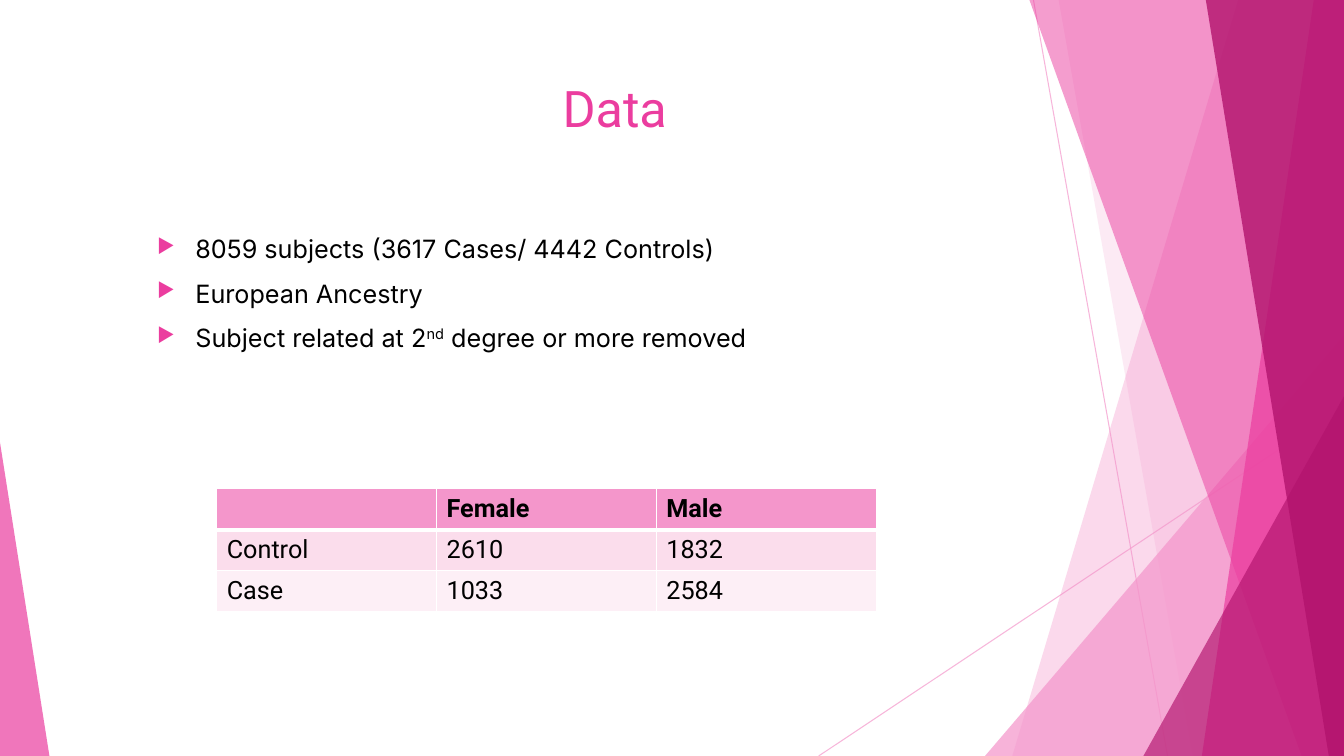
from dataclasses import dataclass

from lxml.etree import SubElement
from pptx import Presentation
from pptx.dml.color import RGBColor
from pptx.enum.shapes import MSO_CONNECTOR, MSO_SHAPE
from pptx.enum.text import MSO_ANCHOR, PP_ALIGN
from pptx.oxml.ns import qn
from pptx.util import Inches, Pt


@dataclass(frozen=True)
class Theme:
    """Colours, fonts and type sizes of the slide."""
    light: str = "F496CB"
    accent: str = "EB3D9F"
    dark: str = "B2136D"
    ink: str = "000000"
    paper: str = "FFFFFF"
    row_fills: tuple = ("F496CB", "FBDDEC", "FDEFF6")
    heading_font: str = "Roboto"
    body_font: str = "Inter"
    title_size: int = 36
    body_size: int = 18


THEME = Theme()
COLUMNS, ROWS = 133.3, 75


def grid(units):
    """Convert grid columns or rows to a length."""
    return Inches(units / 10)


def set_alpha(shape, percent):
    """Make the first solid colour of a shape translucent."""
    color = next(shape._element.spPr.iter(qn("a:srgbClr")))
    SubElement(color, qn("a:alpha"), val=str(percent * 1000))


def paint(shape, color, percent):
    """Fill a shape with a translucent colour and no outline."""
    shape.shadow.inherit = False
    shape.fill.solid()
    shape.fill.fore_color.rgb = RGBColor.from_string(color)
    shape.line.fill.background()
    set_alpha(shape, percent)


def add_band(slide, box, top_left, bottom_left, color, percent):
    """Draw a band with a slanted left edge and its right edge on the box."""
    left, top, width, height = box
    right, bottom = left + width, top + height
    builder = slide.shapes.build_freeform(grid(left + top_left), grid(top))
    builder.add_line_segments([(grid(x), grid(y)) for x, y in (
        (right, top), (right, bottom), (left + bottom_left, bottom))])
    paint(builder.convert_to_shape(), color, percent)


def add_corner(slide, box, width, height, apex, color, percent):
    """Draw a right triangle in the lower corner that its apex points at."""
    left = box[0] + apex * (box[2] - width)
    top = box[1] + box[3] - height
    triangle = slide.shapes.add_shape(MSO_SHAPE.ISOSCELES_TRIANGLE,
                                      *map(grid, (left, top, width, height)))
    triangle.adjustments[0] = apex
    paint(triangle, color, percent)


def add_ray(slide, box, start, end):
    """Draw a thin translucent line."""
    points = [grid(box[axis] + point[axis]) for point in (start, end) for axis in (0, 1)]
    ray = slide.shapes.add_connector(MSO_CONNECTOR.STRAIGHT, *points)
    ray.line.color.rgb = RGBColor.from_string(THEME.light)
    ray.line.width = Pt(0.75)
    set_alpha(ray, 70)
    SubElement(ray._element.spPr, qn("a:effectLst"))


def add_facets(slide, box):
    """Draw the overlapping facets from back to front."""
    add_ray(slide, box, (102.5, 0), (115.8, ROWS))
    add_ray(slide, box, (COLUMNS, 40.3), (81.2, ROWS))
    add_band(slide, box, 122.8, 100.4, THEME.light, 36)
    add_band(slide, box, 105, 118.3, THEME.light, 20)
    add_corner(slide, box, 35.6, 41.7, 1, THEME.light, 72)
    add_band(slide, box, 102.1, 129.1, THEME.accent, 50)
    add_band(slide, box, 130.3, 119.2, THEME.accent, 70)
    add_band(slide, box, 119.6, 131.8, THEME.dark, 80)
    add_corner(slide, box, 19.9, 35.7, 1, THEME.dark, 66)
    add_corner(slide, box, 4.9, 31.1, 0, THEME.accent, 70)


def add_run(paragraph, text, font=THEME.heading_font, size=THEME.body_size,
            color=THEME.ink, bold=False, baseline=0):
    """Add formatted text to a paragraph."""
    run = paragraph.add_run()
    run.text = text
    run.font.name = font
    run.font.size = Pt(size)
    run.font.bold = bold
    run.font.color.rgb = RGBColor.from_string(color)
    if baseline:
        run._r.get_or_add_rPr().set("baseline", str(baseline * 1000))


def add_text_frame(slide, box, anchor):
    """Add a wrapping text box and return its frame."""
    frame = slide.shapes.add_textbox(*map(grid, box)).text_frame
    frame.word_wrap = True
    frame.vertical_anchor = anchor
    return frame


def add_title(slide, box, text):
    """Place the centred title."""
    paragraph = add_text_frame(slide, box, MSO_ANCHOR.MIDDLE).paragraphs[0]
    paragraph.alignment = PP_ALIGN.CENTER
    add_run(paragraph, text, size=THEME.title_size, color=THEME.accent)


def set_bullet(paragraph):
    """Give a paragraph a hanging triangular bullet."""
    paragraph.space_before = Pt(10)
    properties = paragraph._p.get_or_add_pPr()
    indent = grid(3.8)
    properties.set("marL", str(indent))
    properties.set("indent", str(-indent))
    SubElement(SubElement(properties, qn("a:buClr")), qn("a:srgbClr"), val=THEME.accent)
    SubElement(properties, qn("a:buSzPct"), val="80000")
    SubElement(properties, qn("a:buChar"), char="▶")


def add_bullets(slide, box, items):
    """Place a bulleted list whose items are lists of text and baseline."""
    frame = add_text_frame(slide, box, MSO_ANCHOR.TOP)
    for index, pieces in enumerate(items):
        paragraph = frame.add_paragraph() if index else frame.paragraphs[0]
        set_bullet(paragraph)
        for text, baseline in pieces:
            add_run(paragraph, text, font=THEME.body_font, baseline=baseline)


def set_borders(cell, **widths):
    """Give a cell borders of the given point widths."""
    properties = cell._tc.get_or_add_tcPr()
    for side in "LRTB":
        width = Pt(widths.get(side, 1))
        line = SubElement(properties, qn(f"a:ln{side}"), w=str(width))
        SubElement(SubElement(line, qn("a:solidFill")), qn("a:srgbClr"), val=THEME.paper)


def add_counts(slide, box, records):
    """Place the table of counts with evenly sized cells."""
    shape = slide.shapes.add_table(len(records), len(records[0]), *map(grid, box))
    for row_index, record in enumerate(records):
        for column_index, text in enumerate(record):
            cell = shape.table.cell(row_index, column_index)
            set_borders(cell, B=3 if row_index == 0 else 1, T=3 if row_index == 1 else 1)
            cell.fill.solid()
            cell.fill.fore_color.rgb = RGBColor.from_string(THEME.row_fills[row_index])
            if text:
                add_run(cell.text_frame.paragraphs[0], text, bold=row_index == 0)


def build_data_slide(presentation):
    """Build the slide that describes the data."""
    slide = presentation.slides.add_slide(presentation.slide_layouts[6])
    slide.background.fill.solid()
    slide.background.fill.fore_color.rgb = RGBColor.from_string(THEME.paper)
    add_facets(slide, (0, 0, COLUMNS, ROWS))
    add_title(slide, (14.6, 6.7, 94, 8), "Data ")
    add_bullets(slide, (14.6, 22.7, 94, 43.4), [
        [("8059 subjects (3617 Cases/ 4442 Controls)", 0)],
        [("European Ancestry", 0)],
        [("Subject related at 2", 0), ("nd", 30), (" degree or more removed", 0)],
    ])
    add_counts(slide, (21.5, 48.5, 65.4, 12.2), [
        ("", "Female", "Male"),
        ("Control", "2610", "1832"),
        ("Case", "1033", "2584"),
    ])


def main():
    """Create and save the presentation."""
    presentation = Presentation()
    presentation.slide_width = grid(COLUMNS)
    presentation.slide_height = grid(ROWS)
    build_data_slide(presentation)
    presentation.save("out.pptx")


main()
